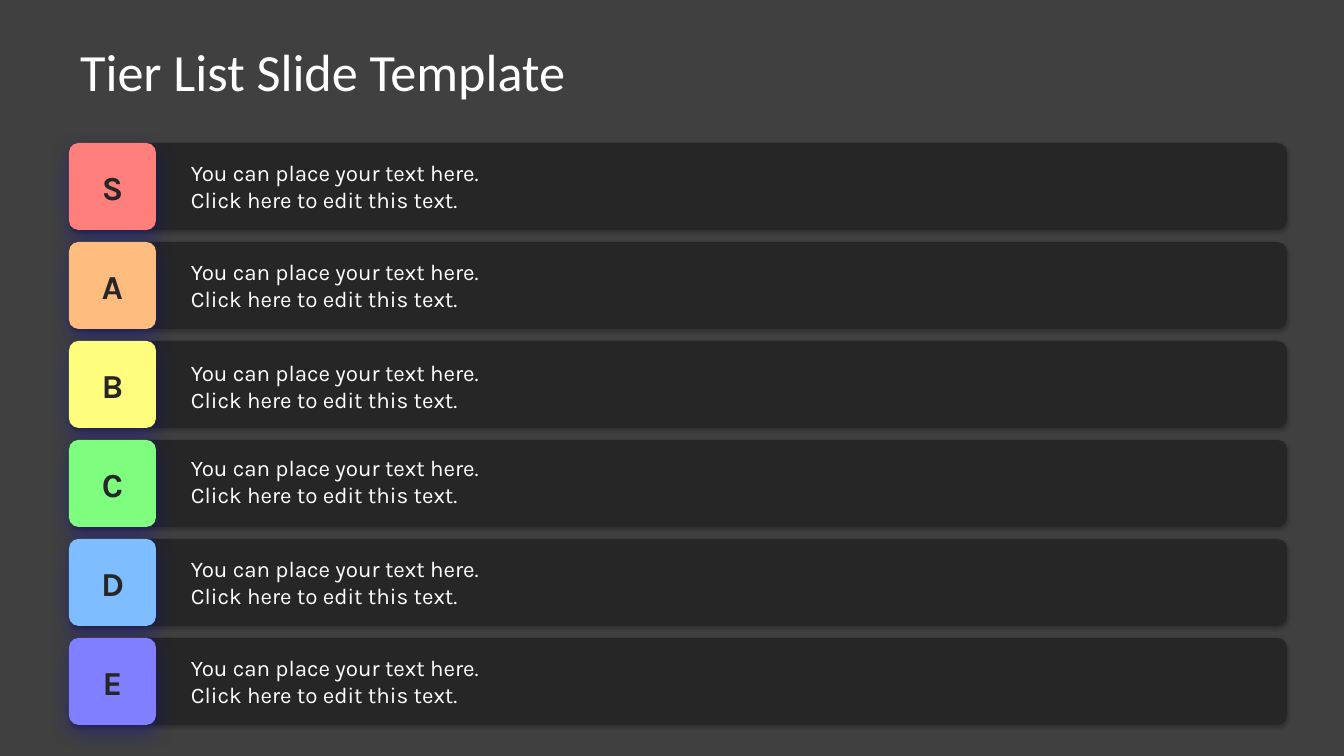
from lxml.etree import SubElement
from pptx import Presentation
from pptx.dml.color import RGBColor
from pptx.enum.shapes import MSO_SHAPE
from pptx.enum.text import MSO_ANCHOR, MSO_AUTO_SIZE, PP_ALIGN
from pptx.oxml.ns import qn
from pptx.util import Emu, Pt

PX = 914400 / 134.4

THEME = {
    "back": "404040",
    "bar": "262626",
    "title": {"name": "Calibri", "size": Pt(28), "color": "FFFFFF"},
    "label": {"name": "Karla", "size": Pt(18), "bold": True, "color": "262626"},
    "note": {"name": "Karla", "size": Pt(12), "color": "FFFFFF"},
    "bar_glow": ("000000", 23, 2, 1),
    "tile_glow": ("0000BF", 33, 11.7, 4),
}

# Letter, tile colour, drop of the note below the top of its row
TIERS = [
    ("S", "FF7F7D", 16),
    ("A", "FEBD7F", 16),
    ("B", "FFFD7D", 18),
    ("C", "7FFD7F", 14),
    ("D", "7EBDFF", 16),
    ("E", "7F7FFF", 16),
]
LEFT, TOP, WIDTH, SIDE, STEP = 69, 143, 1218, 87, 99
NOTE = "You can place your text here. Click here to edit this text."


def add_block(box, color, glow):
    """Add a rounded block with a soft shadow straight below it."""
    block = slide.shapes.add_shape(
        MSO_SHAPE.ROUNDED_RECTANGLE, *[Emu(round(n * PX)) for n in box])
    block.adjustments[0] = 0.11
    block.fill.solid()
    block.fill.fore_color.rgb = RGBColor.from_string(color)
    block.line.fill.background()
    block.shadow.inherit = False
    tint, alpha, blur, dist = glow
    effects = block._element.spPr.find(qn("a:effectLst"))
    shadow = SubElement(effects, qn("a:outerShdw"), blurRad=str(Pt(blur)),
                        dist=str(Pt(dist)), dir="5400000", algn="t",
                        rotWithShape="0")
    shade = SubElement(shadow, qn("a:srgbClr"), val=tint)
    SubElement(shade, qn("a:alpha"), val=str(alpha * 1000))


def add_text(box, text, style, **frame):
    shape = slide.shapes.add_textbox(*[Emu(round(n * PX)) for n in box])
    for key, value in frame.items():
        setattr(shape.text_frame, key, value)
    para = shape.text_frame.paragraphs[0]
    run = para.add_run()
    run.text = text
    for key, value in THEME[style].items():
        if key == "color":
            run.font.color.rgb = RGBColor.from_string(value)
        else:
            setattr(run.font, key, value)
    return para


deck = Presentation()
deck.slide_width = Emu(round(1344 * PX))
deck.slide_height = Emu(round(756 * PX))
slide = deck.slides.add_slide(deck.slide_layouts[6])
slide.background.fill.solid()
slide.background.fill.fore_color.rgb = RGBColor.from_string(THEME["back"])

rows = [TOP + i * STEP for i in range(len(TIERS))]
for top in rows:
    add_block((LEFT, top, WIDTH, SIDE), THEME["bar"], THEME["bar_glow"])
for top, (letter, color, drop) in zip(rows, TIERS):
    add_block((LEFT, top, SIDE, SIDE), color, THEME["tile_glow"])

add_text((67, 31, 1210, 79), "Tier List Slide Template", "title",
         word_wrap=True, vertical_anchor=MSO_ANCHOR.MIDDLE)

for top, (letter, color, drop) in zip(rows, TIERS):
    label = add_text((LEFT + 19, top + 17, 49, 54), letter, "label",
                     word_wrap=False,
                     auto_size=MSO_AUTO_SIZE.SHAPE_TO_FIT_TEXT)
    label.alignment = PP_ALIGN.CENTER
    add_text((191, top + drop, 296, 55), NOTE, "note", word_wrap=True,
             margin_left=0, margin_top=0, margin_right=0, margin_bottom=0)

deck.save("out.pptx")
